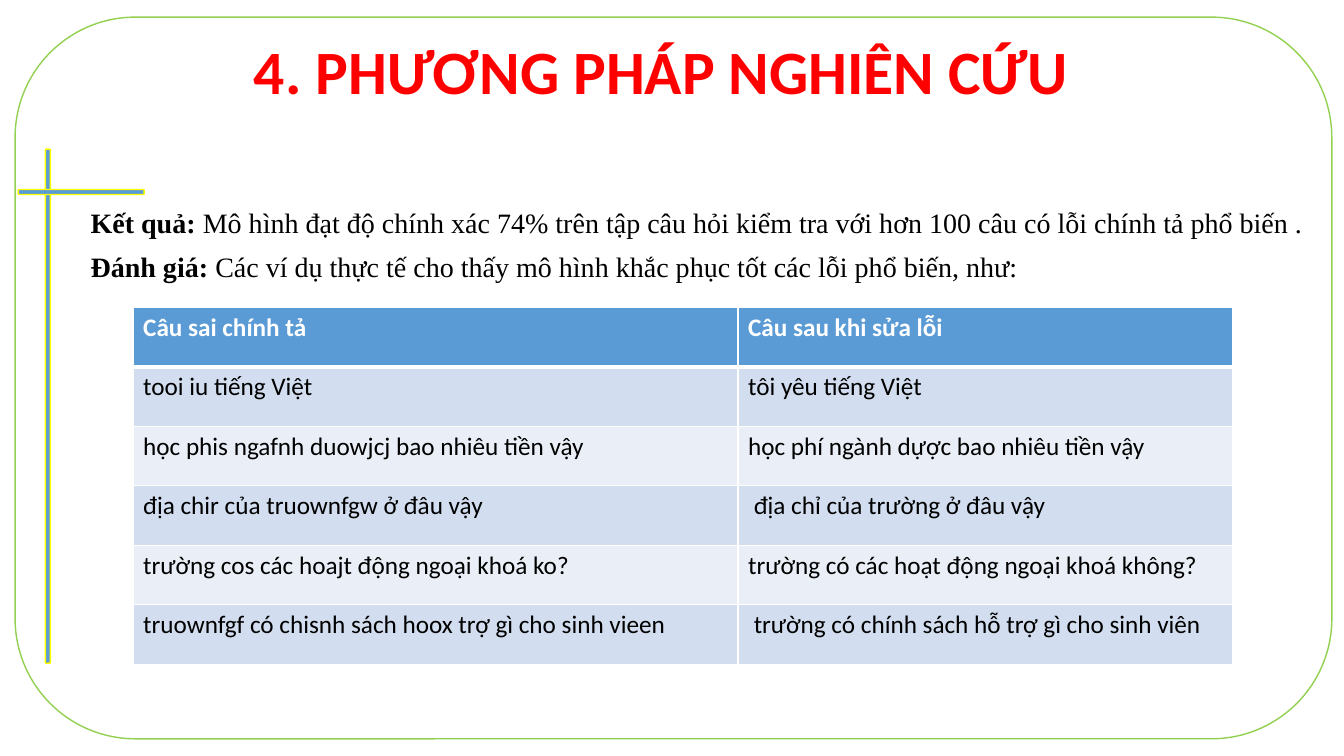
from lxml.etree import SubElement
from pptx import Presentation
from pptx.dml.color import RGBColor
from pptx.enum.shapes import MSO_SHAPE
from pptx.oxml.ns import qn
from pptx.util import Inches, Pt

SLIDE_WIDTH, SLIDE_HEIGHT = 13.33, 7.5
GREEN = RGBColor(0x92, 0xD0, 0x50)
BLUE = RGBColor(0x5B, 0x9B, 0xD5)
YELLOW = RGBColor(0xFF, 0xFF, 0x00)
RED = RGBColor(0xFF, 0x00, 0x00)
BLACK = RGBColor(0x00, 0x00, 0x00)
WHITE = RGBColor(0xFF, 0xFF, 0xFF)
BAND_FILLS = (RGBColor(0xD2, 0xDE, 0xEF), RGBColor(0xEA, 0xEF, 0xF7))

COLUMN_WIDTHS = (6, 4.9)
ROW_HEIGHT = 0.59

FINDINGS = (
    ("Kết quả:", " Mô hình đạt độ chính xác 74% trên tập câu hỏi kiểm tra "
                 "với hơn 100 câu có lỗi chính tả phổ biến ."),
    ("Đánh giá:", " Các ví dụ thực tế cho thấy mô hình khắc phục tốt "
                  "các lỗi phổ biến, như:"),
)
CORRECTIONS = (
    ("Câu sai chính tả", "Câu sau khi sửa lỗi"),
    ("tooi iu tiếng Việt", "tôi yêu tiếng Việt"),
    ("học phis ngafnh duowjcj bao nhiêu tiền vậy",
     "học phí ngành dựợc bao nhiêu tiền vậy"),
    ("địa chir của truownfgw ở đâu vậy", " địa chỉ của trường ở đâu vậy"),
    ("trường cos các hoajt động ngoại khoá ko?",
     "trường có các hoạt động ngoại khoá không?"),
    ("truownfgf có chisnh sách hoox trợ gì cho sinh vieen",
     " trường có chính sách hỗ trợ gì cho sinh viên"),
)


def add_rounded(slide, box, line_color, fill_color=None):
    shape = slide.shapes.add_shape(MSO_SHAPE.ROUNDED_RECTANGLE, *map(Inches, box))
    shape.shadow.inherit = False
    if fill_color is None:
        shape.fill.background()
    else:
        shape.fill.solid()
        shape.fill.fore_color.rgb = fill_color
    shape.line.color.rgb = line_color
    shape.line.width = Pt(1)


def add_run(paragraph, text, font_name, size, color, bold=False):
    run = paragraph.add_run()
    run.text = text
    run.font.name = font_name
    run.font.size = Pt(size)
    run.font.color.rgb = color
    run.font.bold = bold


def add_text_frame(slide, box):
    text_frame = slide.shapes.add_textbox(*map(Inches, box)).text_frame
    text_frame.word_wrap = True
    return text_frame


def add_findings(slide, box):
    text_frame = add_text_frame(slide, box)
    for index, (label, statement) in enumerate(FINDINGS):
        paragraph = text_frame.add_paragraph() if index else text_frame.paragraphs[0]
        paragraph.line_spacing = 0.9
        paragraph.space_before = Pt(10 if index else 0)
        add_run(paragraph, label, "Times New Roman", 20, BLACK, bold=True)
        add_run(paragraph, statement, "Times New Roman", 20, BLACK)


def set_borders(cell, top, bottom):
    """Draw white cell borders; top and bottom are widths in points."""
    properties = cell._tc.get_or_add_tcPr()
    widths = {"a:lnL": 1, "a:lnR": 1, "a:lnT": top, "a:lnB": bottom}
    for position, (tag, width) in enumerate(widths.items()):
        border = SubElement(properties, qn(tag), w=str(Pt(width)))
        fill = SubElement(border, qn("a:solidFill"))
        SubElement(fill, qn("a:srgbClr"), val=str(WHITE))
        properties.insert(position, border)


def add_corrections_table(slide, left, top):
    table = slide.shapes.add_table(
        len(CORRECTIONS), len(COLUMN_WIDTHS), Inches(left), Inches(top),
        Inches(sum(COLUMN_WIDTHS)), Inches(ROW_HEIGHT * len(CORRECTIONS))).table
    for column, width in zip(table.columns, COLUMN_WIDTHS):
        column.width = Inches(width)
    for row_index, sentences in enumerate(CORRECTIONS):
        table.rows[row_index].height = Inches(ROW_HEIGHT)
        is_header = row_index == 0
        for column_index, sentence in enumerate(sentences):
            cell = table.cell(row_index, column_index)
            cell.fill.solid()
            cell.fill.fore_color.rgb = BLUE if is_header else BAND_FILLS[(row_index - 1) % 2]
            set_borders(cell, top=3 if row_index == 1 else 1, bottom=3 if is_header else 1)
            add_run(cell.text_frame.paragraphs[0], sentence, "Calibri", 18,
                    WHITE if is_header else BLACK, bold=is_header)


def main():
    presentation = Presentation()
    presentation.slide_width = Inches(SLIDE_WIDTH)
    presentation.slide_height = Inches(SLIDE_HEIGHT)
    slide = presentation.slides.add_slide(presentation.slide_layouts[6])

    add_rounded(slide, (0.15, 0.17, 13.06, 7.16), GREEN)
    add_rounded(slide, (0.45, 1.48, 0.05, 5.1), YELLOW, BLUE)
    add_rounded(slide, (0.18, 1.88, 1.25, 0.05), YELLOW, BLUE)
    add_findings(slide, (0.8, 2.03, SLIDE_WIDTH - 0.8, 1.57))
    add_corrections_table(slide, 1.32, 3.05)
    title = add_text_frame(slide, (2.42, 0.28, 10, 0.84))
    add_run(title.paragraphs[0], "4. PHƯƠNG PHÁP NGHIÊN CỨU", "Calibri", 44, RED, bold=True)

    presentation.save("out.pptx")


if __name__ == "__main__":
    main()
